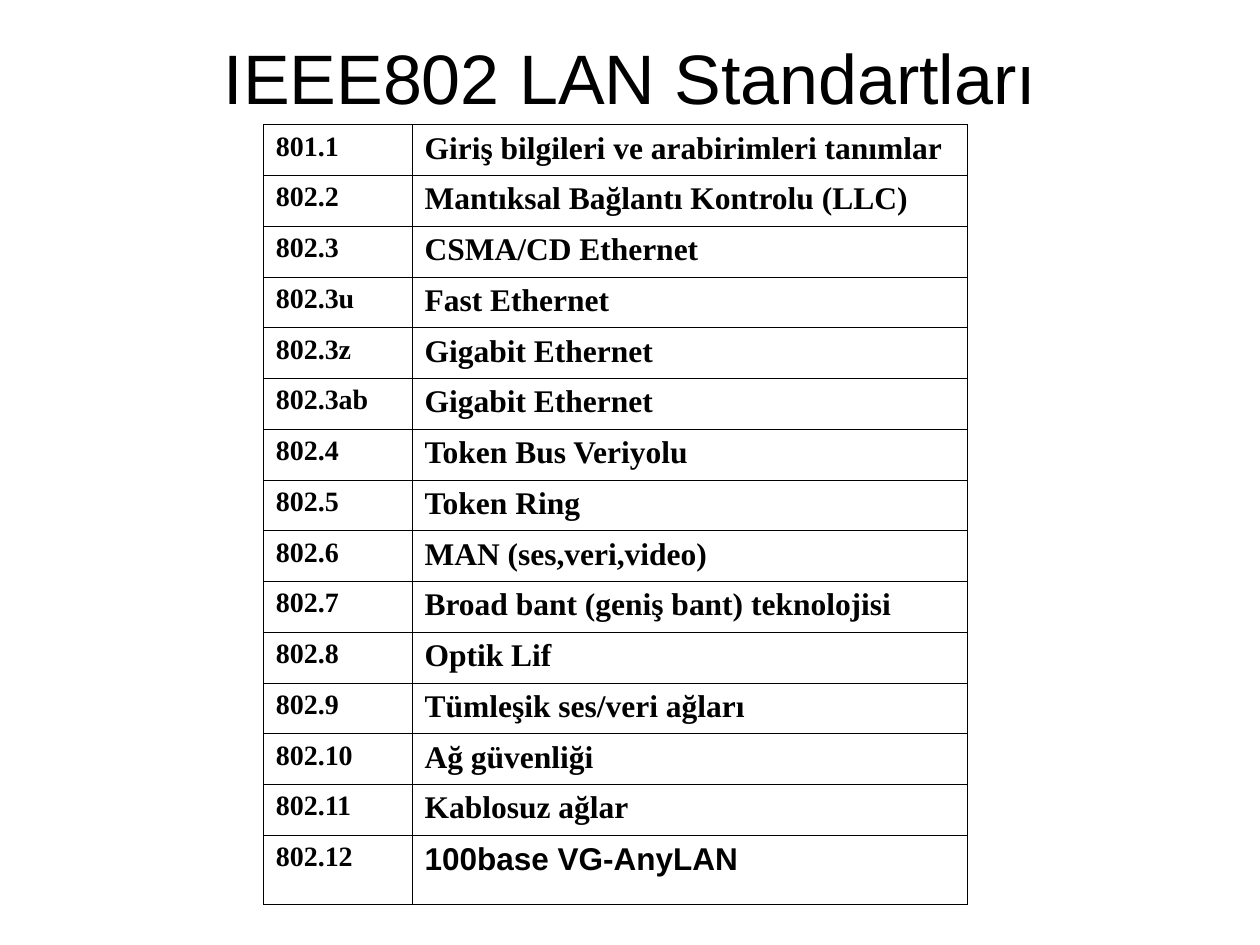
from dataclasses import dataclass

from lxml import etree
from pptx import Presentation
from pptx import util as u
from pptx.dml.color import RGBColor
from pptx.enum import text
from pptx.oxml.ns import qn


@dataclass(frozen=True)
class Theme:
    """Fonts, colours and type sizes of the deck."""
    ink: str = "000000"
    paper: str = "FFFFFF"
    sans: str = "Arial"
    serif: str = "Times New Roman"
    title_size: int = 40
    code_size: int = 16
    name_size: int = 18
    border: float = 0.45


STANDARDS = [
    ("801.1", "Giriş bilgileri ve arabirimleri tanımlar"),
    ("802.2", "Mantıksal Bağlantı Kontrolu (LLC)"),
    ("802.3", "CSMA/CD Ethernet"),
    ("802.3u", "Fast Ethernet"),
    ("802.3z", "Gigabit Ethernet"),
    ("802.3ab", "Gigabit Ethernet"),
    ("802.4", "Token Bus Veriyolu"),
    ("802.5", "Token Ring"),
    ("802.6", "MAN (ses,veri,video)"),
    ("802.7", "Broad bant (geniş bant) teknolojisi"),
    ("802.8", "Optik Lif"),
    ("802.9", "Tümleşik ses/veri ağları"),
    ("802.10", "Ağ güvenliği"),
    ("802.11", "Kablosuz ağlar"),
    ("802.12", "100base VG-AnyLAN"),
]


class SlideBuilder:
    """Adds styled elements to the current slide."""

    def __init__(self, slide, theme):
        self.slide = slide
        self.theme = theme
        slide.background.fill.solid()
        slide.background.fill.fore_color.rgb = RGBColor.from_string(theme.paper)

    def format_runs(self, paragraph, font_name, size, bold=False):
        """Apply font, size and weight to the runs of a paragraph."""
        for run in paragraph.runs:
            run.font.name = font_name
            run.font.size = u.Pt(size)
            run.font.bold = bold
            run.font.color.rgb = RGBColor.from_string(self.theme.ink)

    def title(self, wording, left, top, width, height):
        """Fill and place the title placeholder."""
        shape = self.slide.shapes.title
        shape.left, shape.top = u.Inches(left), u.Inches(top)
        shape.width, shape.height = u.Inches(width), u.Inches(height)
        frame = shape.text_frame
        frame.text = wording
        frame.auto_size = text.MSO_AUTO_SIZE.NONE
        frame.vertical_anchor = text.MSO_ANCHOR.MIDDLE
        paragraph = frame.paragraphs[0]
        paragraph.alignment = text.PP_ALIGN.CENTER
        self.format_runs(paragraph, self.theme.sans, self.theme.title_size)

    def cell_borders(self, cell):
        """Draw a thin line on all four sides of a cell."""
        properties = cell._tc.get_or_add_tcPr()
        for side in ("lnL", "lnR", "lnT", "lnB"):
            line = etree.SubElement(properties, qn(f"a:{side}"), w=str(u.Pt(self.theme.border)))
            fill = etree.SubElement(line, qn("a:solidFill"))
            etree.SubElement(fill, qn("a:srgbClr"), val=self.theme.ink)

    def table(self, rows, left, top, column_widths, height, last_height):
        """Add a bordered table with equal rows above a taller last row."""
        width = sum(column_widths)
        frame = self.slide.shapes.add_table(
            len(rows), len(column_widths),
            u.Inches(left), u.Inches(top), u.Inches(width), u.Inches(height))
        table = frame.table
        table.first_row = table.horz_banding = False
        for column, column_width in zip(table.columns, column_widths):
            column.width = u.Inches(column_width)
        row_height = (height - last_height) / (len(rows) - 1)
        last = len(rows) - 1
        sizes = (self.theme.code_size, self.theme.name_size)
        for row_index, values in enumerate(rows):
            table.rows[row_index].height = u.Inches(last_height if row_index == last else row_height)
            for column_index, value in enumerate(values):
                cell = table.cell(row_index, column_index)
                cell.text_frame.text = value
                is_sans = (row_index, column_index) == (last, 1)
                font_name = self.theme.sans if is_sans else self.theme.serif
                self.format_runs(cell.text_frame.paragraphs[0], font_name, sizes[column_index], bold=True)
                self.cell_borders(cell)
                cell.fill.background()


def main():
    """Build and save the presentation."""
    presentation = Presentation()
    presentation.slide_width, presentation.slide_height = u.Inches(10), u.Inches(7.5)
    slide = presentation.slides.add_slide(presentation.slide_layouts.get_by_name("Title Only"))
    builder = SlideBuilder(slide, Theme())
    builder.title("IEEE802 LAN Standartları", 0.5, 0.3, 9, 0.61)
    builder.table(STANDARDS, 2.09, 0.99, (1.18, 4.41), height=6.19, last_height=0.55)
    presentation.save("out.pptx")


if __name__ == "__main__":
    main()
